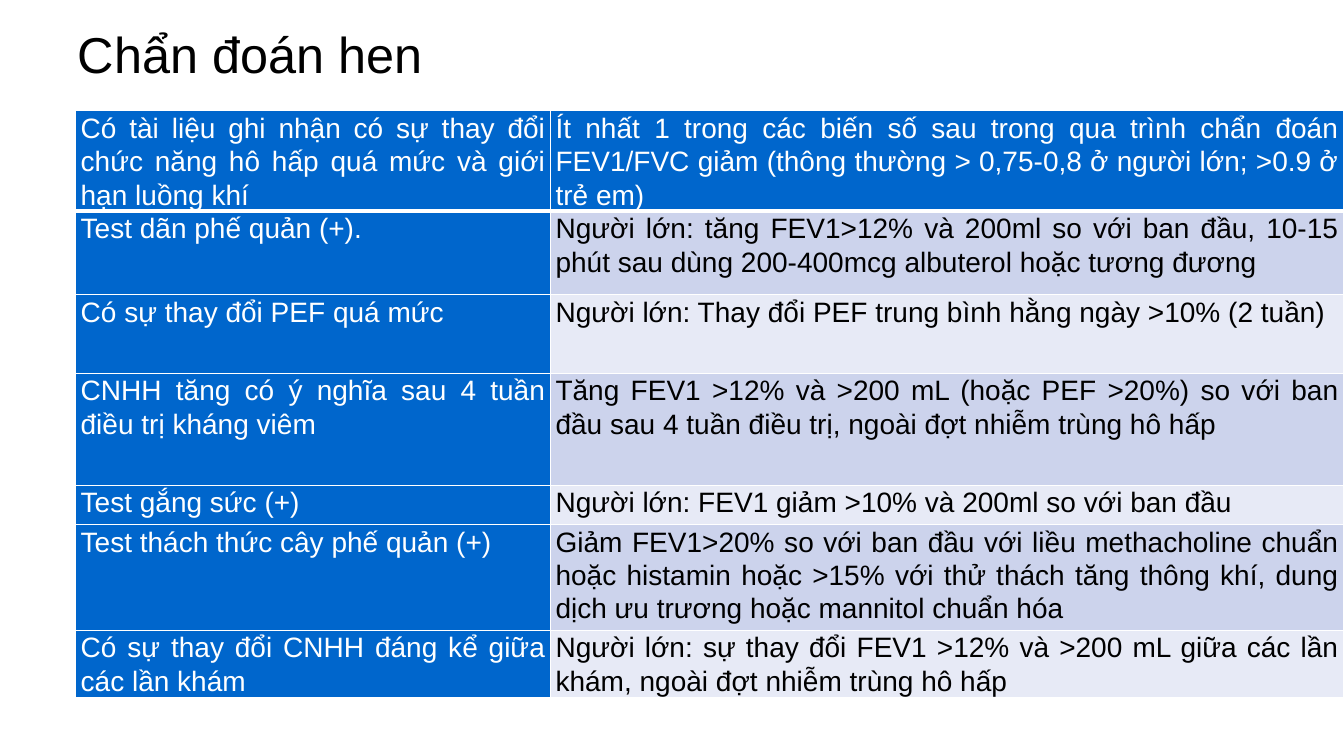
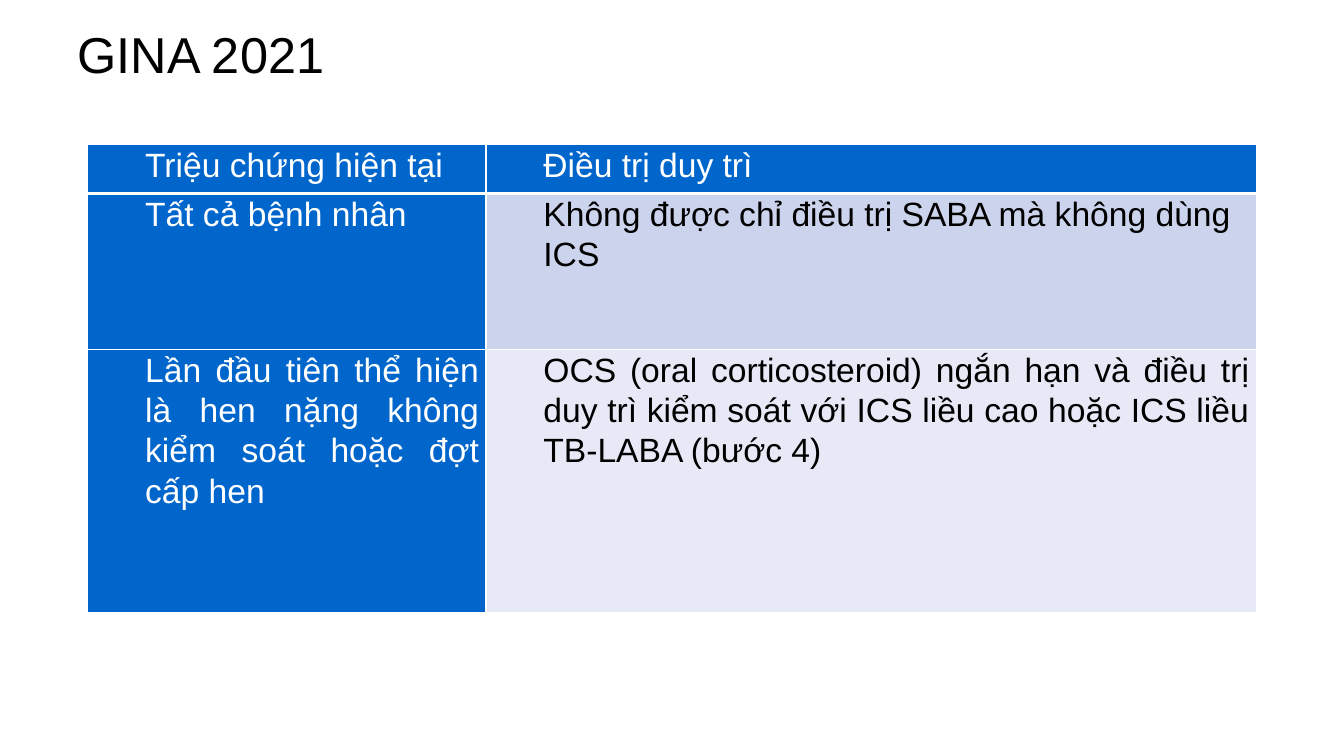
from dataclasses import dataclass

import lxml.etree
import pptx
import pptx.dml.color
import pptx.enum.text
import pptx.oxml.ns
import pptx.util

Inches = pptx.util.Inches
Align = pptx.enum.text.PP_ALIGN
Anchor = pptx.enum.text.MSO_ANCHOR

COLORS = {
    "white": "FFFFFF",
    "black": "000000",
    "blue": "0066CC",
    "band_dark": "CCD3EC",
    "band_light": "E7EAF6",
}
FONT = "Arial"
TITLE_ONLY_LAYOUT = 5
THIN_BORDER, HEADER_BORDER = 1, 3


@dataclass(frozen=True)
class TableSlide:
    title: str
    left: float
    top: float
    column_widths: tuple[float, ...]
    row_heights: tuple[float, ...]
    rows: tuple[tuple[str, ...], ...]
    font_size: int
    side_margin: float
    indent: float = 0
    left_aligned: tuple[tuple[int, int], ...] = ()


SLIDES = (
    TableSlide(
        title="Chẩn đoán hen",
        left=0.75,
        top=1.1,
        column_widths=(4.71, 7.87),
        row_heights=(0.98, 0.83, 0.78, 1.11, 0.39, 1.05, 0.65),
        font_size=20,
        side_margin=0.05,
        rows=(
            ("Có tài liệu ghi nhận có sự thay đổi chức năng hô hấp quá mức và giới hạn luồng khí",
             "Ít nhất 1 trong các biến số sau trong qua trình chẩn đoán FEV1/FVC giảm "
             "(thông thường > 0,75-0,8 ở người lớn; >0.9 ở trẻ em)"),
            ("Test dãn phế quản (+).",
             "Người lớn: tăng FEV1>12% và 200ml so với ban đầu, 10-15 phút sau dùng "
             "200-400mcg albuterol hoặc tương đương"),
            ("Có sự thay đổi PEF quá mức",
             "Người lớn: Thay đổi PEF trung bình hằng ngày >10% (2 tuần)"),
            ("CNHH tăng có ý nghĩa sau 4 tuần điều trị kháng viêm",
             "Tăng FEV1 >12% và >200 mL (hoặc PEF >20%) so với ban đầu sau 4 tuần điều trị, "
             "ngoài đợt nhiễm trùng hô hấp"),
            ("Test gắng sức (+)",
             "Người lớn: FEV1 giảm >10% và 200ml so với ban đầu"),
            ("Test thách thức cây phế quản (+)",
             "Giảm FEV1>20% so với ban đầu với liều methacholine chuẩn hoặc histamin hoặc "
             ">15% với thử thách tăng thông khí, dung dịch ưu trương hoặc mannitol chuẩn hóa"),
            ("Có sự thay đổi CNHH đáng kể giữa các lần khám",
             "Người lớn: sự thay đổi FEV1 >12% và >200 mL giữa các lần khám, "
             "ngoài đợt nhiễm trùng hô hấp"),
        ),
    ),
    TableSlide(
        title="GINA 2021",
        left=0.87,
        top=1.43,
        column_widths=(3.95, 7.64),
        row_heights=(0.49, 1.55, 2.61),
        font_size=24,
        side_margin=0.07,
        indent=0.5,
        left_aligned=((1, 1),),
        rows=(
            ("Triệu chứng hiện tại", "Điều trị duy trì"),
            ("Tất cả bệnh nhân",
             "Không được chỉ điều trị SABA mà không dùng ICS"),
            ("Lần đầu tiên thể hiện là hen nặng không kiểm soát hoặc đợt cấp hen",
             "OCS (oral corticosteroid) ngắn hạn và điều trị duy trì kiểm soát với ICS "
             "liều cao hoặc ICS liều TB-LABA (bước 4)"),
        ),
    ),
)


def rgb(name: str) -> pptx.dml.color.RGBColor:
    return pptx.dml.color.RGBColor.from_string(COLORS[name])


def write_text(text_frame, text: str, *, size: int, color: str, align=Align.LEFT,
               line_spacing: float = 1.0, indent: float = 0) -> None:
    text_frame.word_wrap = True
    paragraph = text_frame.paragraphs[0]
    paragraph.alignment = align
    paragraph.line_spacing = line_spacing
    if indent:
        properties = paragraph._p.get_or_add_pPr()
        properties.set("marL", str(Inches(indent)))
        properties.set("indent", "0")
    run = paragraph.add_run()
    run.text = text
    run.font.name = FONT
    run.font.size = pptx.util.Pt(size)
    run.font.bold = False
    run.font.color.rgb = rgb(color)


def set_borders(cell, widths: dict[str, int]) -> None:
    """Give the cell white borders; call before its fill is set."""
    qn = pptx.oxml.ns.qn
    properties = cell._tc.get_or_add_tcPr()
    for side in ("L", "R", "T", "B"):
        width = pptx.util.Pt(widths.get(side, THIN_BORDER))
        line = lxml.etree.SubElement(properties, qn(f"a:ln{side}"), w=str(width))
        fill = lxml.etree.SubElement(line, qn("a:solidFill"))
        lxml.etree.SubElement(fill, qn("a:srgbClr"), val=COLORS["white"])


def add_title(slide, text: str) -> None:
    title = slide.shapes.title
    title.left, title.top = Inches(0.67), Inches(0.21)
    title.width, title.height = Inches(12), Inches(0.64)
    title.text_frame.vertical_anchor = Anchor.MIDDLE
    write_text(title.text_frame, text, size=36, color="black")


def format_cell(cell, content: TableSlide, row: int, column: int) -> None:
    # Header row and first column are blue, the rest is banded
    is_heading = row == 0 or column == 0
    band = "band_dark" if row % 2 else "band_light"
    set_borders(cell, {0: {"B": HEADER_BORDER}, 1: {"T": HEADER_BORDER}}.get(row, {}))
    cell.fill.solid()
    cell.fill.fore_color.rgb = rgb("blue" if is_heading else band)
    cell.margin_left = cell.margin_right = Inches(content.side_margin)
    cell.margin_top = cell.margin_bottom = 0
    cell.vertical_anchor = Anchor.TOP
    align = Align.LEFT if (row, column) in content.left_aligned else Align.JUSTIFY
    write_text(cell.text_frame, content.rows[row][column], size=content.font_size,
               color="white" if is_heading else "black", align=align,
               line_spacing=1.07, indent=content.indent)


def add_content_table(slide, content: TableSlide) -> None:
    table = slide.shapes.add_table(
        len(content.row_heights), len(content.column_widths),
        Inches(content.left), Inches(content.top),
        Inches(sum(content.column_widths)), Inches(sum(content.row_heights)),
    ).table
    table.horz_banding = False
    for column, width in enumerate(content.column_widths):
        table.columns[column].width = Inches(width)
    for row, height in enumerate(content.row_heights):
        table.rows[row].height = Inches(height)
        for column in range(len(content.column_widths)):
            format_cell(table.cell(row, column), content, row, column)


def main() -> None:
    presentation = pptx.Presentation()
    presentation.slide_width = Inches(13.33)
    presentation.slide_height = Inches(7.5)
    for content in SLIDES:
        slide = presentation.slides.add_slide(presentation.slide_layouts[TITLE_ONLY_LAYOUT])
        add_title(slide, content.title)
        add_content_table(slide, content)
    presentation.save("out.pptx")


if __name__ == "__main__":
    main()
